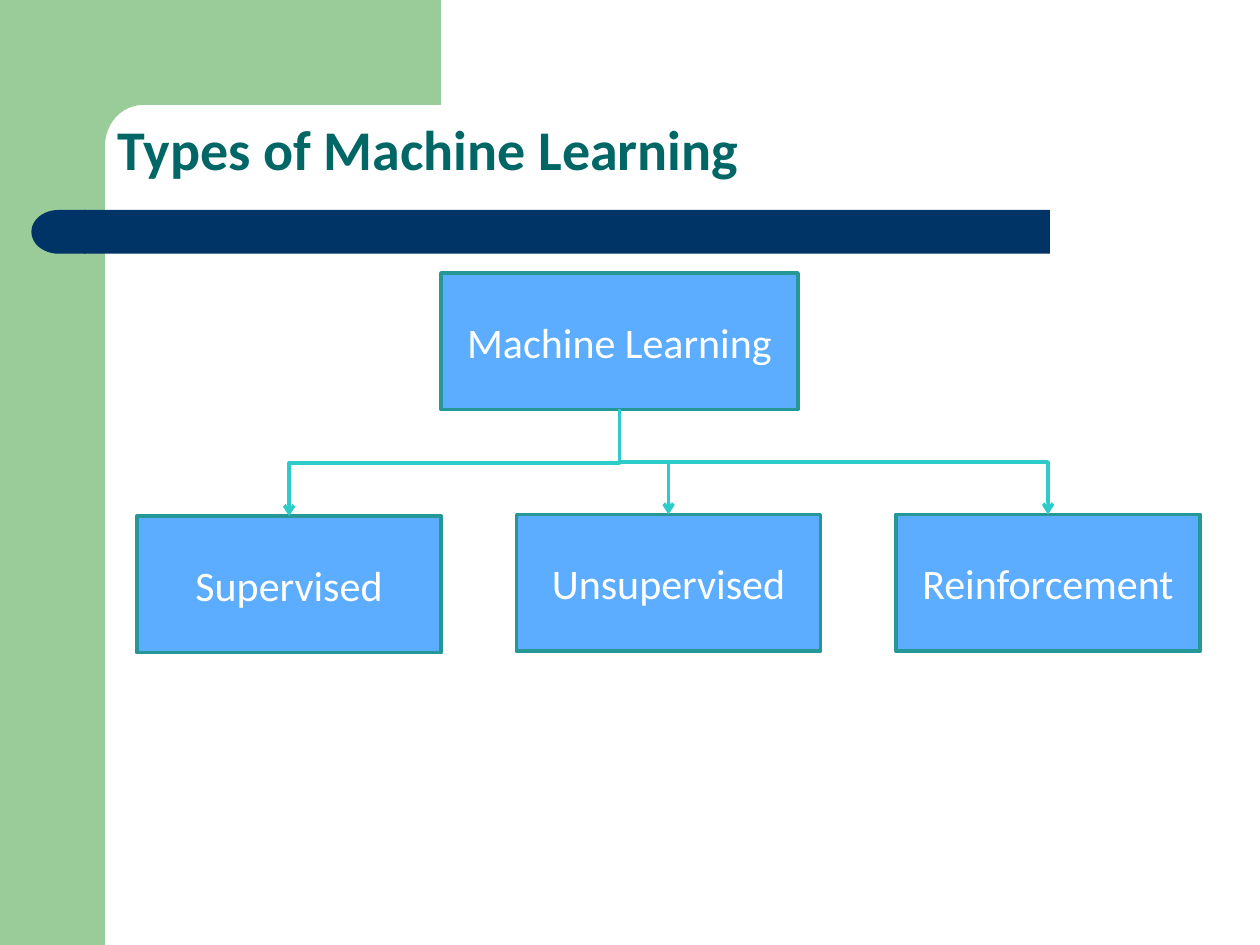
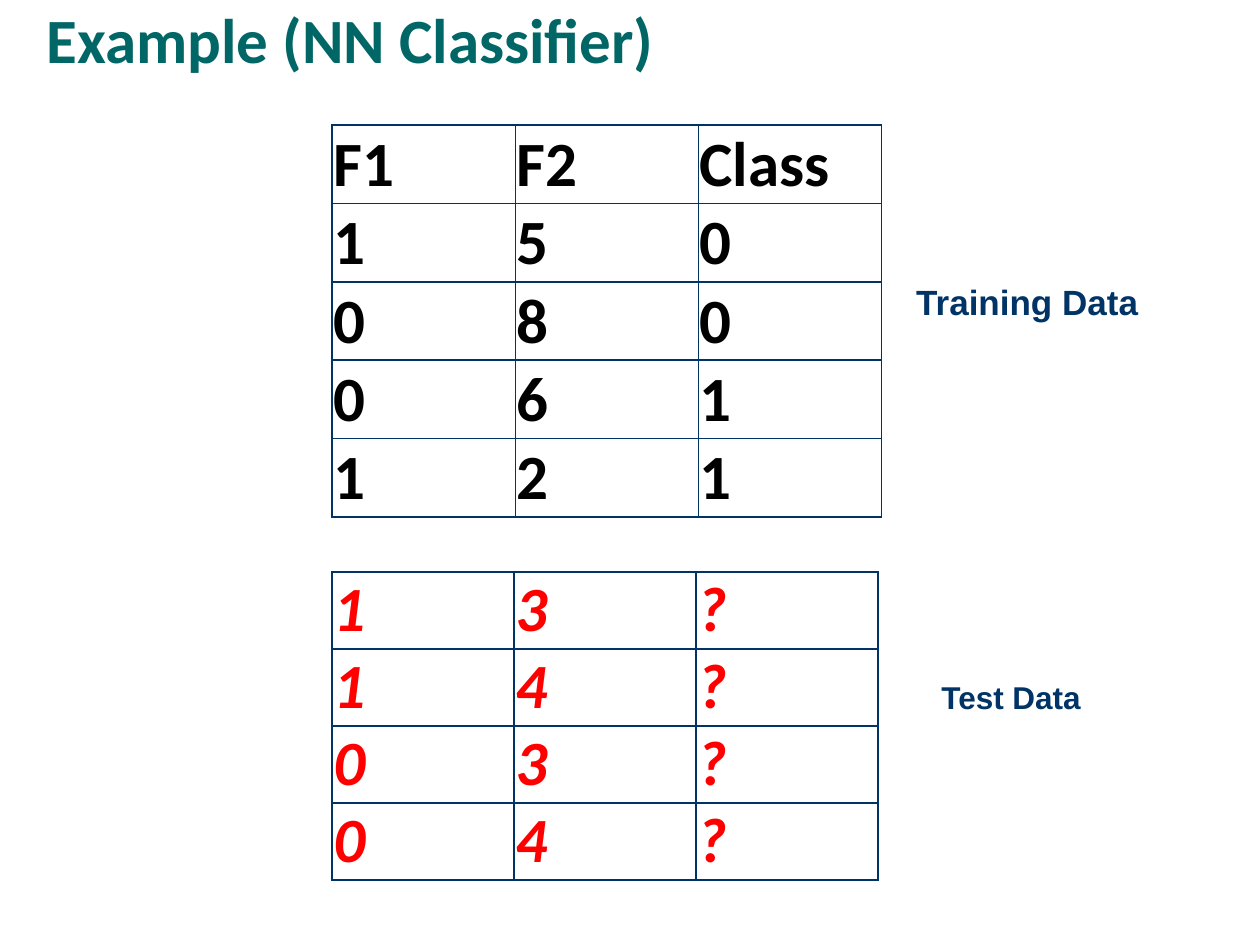
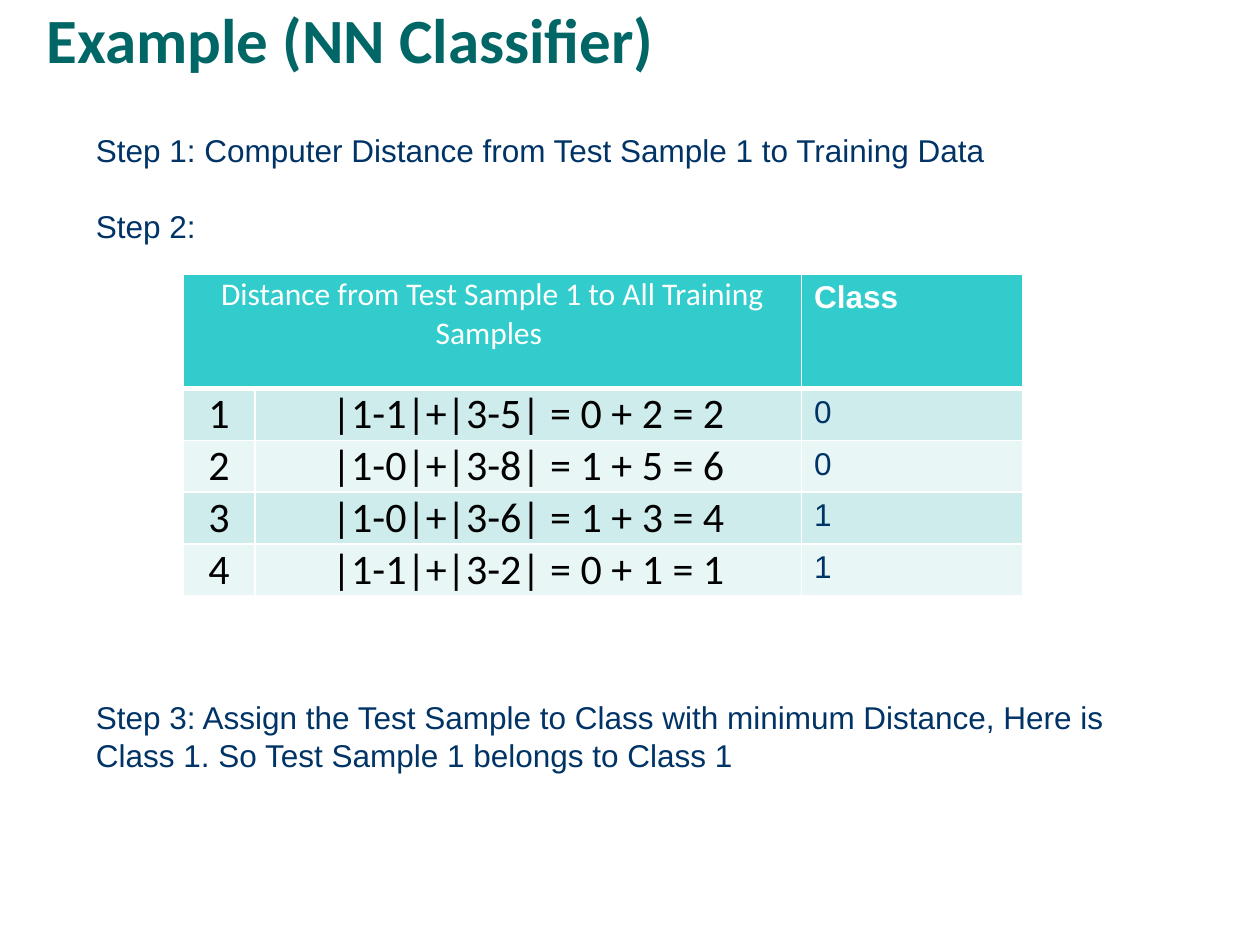
from dataclasses import dataclass
from math import cos, pi, sin
from typing import NamedTuple

from lxml.etree import SubElement
from pptx import Presentation
from pptx.dml.color import RGBColor
from pptx.enum.shapes import MSO_CONNECTOR as Link, MSO_SHAPE as Preset
from pptx.enum.text import MSO_ANCHOR as Anchor, MSO_AUTO_SIZE as AutoSize, PP_ALIGN as Align
from pptx.oxml.ns import qn
from pptx.util import Pt


class Box(NamedTuple):
    left: float
    top: float
    width: float
    height: float

    def lengths(self):
        return [Pt(value) for value in self]


class Style(NamedTuple):
    size: float
    color: str
    font: str = "Calibri"
    bold: bool = False
    italic: bool = False


@dataclass(frozen=True)
class Theme:
    green: str = "99CC99"
    navy: str = "003366"
    node_fill: str = "5CADFF"
    node_line: str = "269797"
    link: str = "2ECBCB"
    header_fill: str = "33CCCC"
    band_fills: tuple = ("CEECEC", "E8F6F6")
    white: str = "FFFFFF"
    line_width: float = 2
    title: Style = Style(36, "006666", bold=True)
    small_title: Style = Style(32, "006666", bold=True)
    node: Style = Style(24, "FFFFFF")
    training: Style = Style(36, "000000", bold=True)
    test: Style = Style(36, "FF0000", bold=True, italic=True)
    training_label: Style = Style(20, "003366", "Arial", bold=True)
    test_label: Style = Style(18, "003366", "Arial", bold=True)
    steps: Style = Style(18, "003366", "Arial")
    step_pitch: float = 21.6
    header: Style = Style(18, "FFFFFF")
    class_header: Style = Style(18, "FFFFFF", "Arial", bold=True)
    distance: Style = Style(24, "000000")


THEME = Theme()
EXAMPLE_TITLE = "Example (NN Classifier)"
EXAMPLE_TITLE_BOX = Box(19.5, 0, 624, 48)


def rgb(color):
    return RGBColor.from_string(color)


def write(para, text, style, align=Align.LEFT):
    para.alignment = align
    span = para.add_run()
    span.text = text
    font = span.font
    font.name, font.size = style.font, Pt(style.size)
    font.bold, font.italic = style.bold, style.italic
    font.color.rgb = rgb(style.color)


def paint(shape, fill, line=None):
    shape.shadow.inherit = False
    shape.fill.solid()
    shape.fill.fore_color.rgb = rgb(fill)
    if line:
        shape.line.color.rgb = rgb(line)
        shape.line.width = Pt(THEME.line_width)
    else:
        shape.line.fill.background()


def round_corners(holder, ratio):
    geometry = SubElement(holder.element.spPr, qn("a:prstGeom"), prst="roundRect")
    guides = SubElement(geometry, qn("a:avLst"))
    SubElement(guides, qn("a:gd"), name="adj", fmla=f"val {round(ratio * 100000)}")


def add_page(deck, title, box, style):
    page = deck.slides.add_slide(deck.slide_layouts[5])
    holder = page.shapes.title
    holder.left, holder.top, holder.width, holder.height = box.lengths()
    round_corners(holder, 0.22)
    frame = holder.text_frame
    frame.auto_size = AutoSize.NONE
    frame.vertical_anchor = Anchor.BOTTOM
    para = frame.paragraphs[0]
    para.line_spacing = 0.9
    write(para, title, style)
    return page


def add_label(page, box, text, style, wrap=True):
    frame = page.shapes.add_textbox(*box.lengths()).text_frame
    frame.word_wrap = wrap
    write(frame.paragraphs[0], text, style, Align.CENTER)


def draw_corner(page, box, side, arm, radius_x, radius_y):
    right, bottom = box.left + box.width, box.top + box.height
    inner_x, inner_y = box.left + side, box.top + arm
    steps = 12
    angles = [pi / 2 * step / steps for step in range(steps + 1)]
    arc = [(inner_x + radius_x * (1 - sin(angle)), inner_y + radius_y * (1 - cos(angle)))
           for angle in angles]
    outline = [(right, inner_y), *arc, (inner_x, bottom), (box.left, bottom), (box.left, box.top)]
    builder = page.shapes.build_freeform(Pt(right), Pt(box.top))
    builder.add_line_segments([(Pt(x), Pt(y)) for x, y in outline], close=True)
    paint(builder.convert_to_shape(), THEME.green)


def draw_frame(page, box):
    rail = Box(box.left, box.top, 60, box.height)
    paint(page.shapes.add_shape(Preset.RECTANGLE, *rail.lengths()), THEME.green)
    draw_corner(page, Box(box.left + 36, box.top, 216, 92), 24, 60, 21.6, 23.5)
    bar_box = Box(box.left + 48, box.top + 120, 552, 25)
    bar = page.shapes.add_shape(Preset.ROUNDED_RECTANGLE, *bar_box.lengths())
    bar.adjustments[0] = 0
    paint(bar, THEME.navy)
    cap_box = Box(box.left + 18, bar_box.top, 31, bar_box.height)
    cap = page.shapes.add_shape(Preset.FLOWCHART_DELAY, *cap_box.lengths())
    paint(cap, THEME.navy)
    cap.element.spPr.find(qn("a:xfrm")).set("flipH", "1")


def draw_node(page, box, text):
    node = page.shapes.add_shape(Preset.RECTANGLE, *box.lengths())
    paint(node, THEME.node_fill, THEME.node_line)
    node.text_frame.vertical_anchor = Anchor.MIDDLE
    write(node.text_frame.paragraphs[0], text, THEME.node, Align.CENTER)


def draw_branch(page, parent, child):
    start_x, start_y = parent.left + parent.width / 2, parent.top + parent.height
    end_x, end_y = child.left + child.width / 2, child.top
    middle_x, middle_y = (start_x + end_x) / 2, (start_y + end_y) / 2
    half_drop, half_run = (end_y - start_y) / 2, abs(end_x - start_x) / 2
    goes_right = end_x > start_x
    reach = -half_drop if goes_right else half_drop
    branch = page.shapes.add_connector(
        Link.ELBOW, Pt(middle_x - reach), Pt(middle_y - half_run),
        Pt(middle_x + reach), Pt(middle_y + half_run))
    branch.line.color.rgb = rgb(THEME.link)
    branch.line.width = Pt(THEME.line_width)
    properties = branch.element.spPr
    properties.find(qn("a:xfrm")).set("rot", str((270 if goes_right else 90) * 60000))
    SubElement(properties.find(qn("a:ln")), qn("a:tailEnd"), type="arrow")
    SubElement(properties, qn("a:effectLst"))


def draw_tree(page, box, root, children):
    root_box = Box(box.left + 173.8, box.top, 204, 78)
    draw_node(page, root_box, root)
    width = 174
    pitch = (box.width - width) / (len(children) - 1)
    for index, (name, drop) in enumerate(children):
        child_box = Box(box.left + index * pitch, box.top + drop, width, 78)
        draw_node(page, child_box, name)
        draw_branch(page, root_box, child_box)


def add_grid(page, box, widths, heights):
    grid = page.shapes.add_table(len(heights), len(widths), *box.lengths()).table
    grid.first_row = grid.horz_banding = False
    for column, width in zip(grid.columns, widths):
        column.width = Pt(width)
    for row, height in zip(grid.rows, heights):
        row.height = Pt(height)
    return grid


def set_borders(cell, color, widths):
    properties = cell._tc.get_or_add_tcPr()
    for side, width in zip("LRTB", widths):
        line = SubElement(properties, qn(f"a:ln{side}"), w=str(Pt(width)))
        SubElement(SubElement(line, qn("a:solidFill")), qn("a:srgbClr"), val=color)


def set_cell(cell, color, fill=None, bottom=1, tight=True, anchor=Anchor.BOTTOM):
    set_borders(cell, color, (1, 1, 1, bottom))
    if fill:
        cell.fill.solid()
        cell.fill.fore_color.rgb = rgb(fill)
    else:
        cell.fill.background()
    cell.vertical_anchor = anchor
    if tight:
        cell.margin_left = cell.margin_right = Pt(0.7)
        cell.margin_top = cell.margin_bottom = 0


def draw_samples(page, box, rows, style):
    columns = len(rows[0])
    grid = add_grid(page, box, [box.width / columns] * columns,
                    [box.height / len(rows)] * len(rows))
    for row_index, row in enumerate(rows):
        for column_index, value in enumerate(row):
            cell = grid.cell(row_index, column_index)
            set_cell(cell, THEME.navy)
            write(cell.text_frame.paragraphs[0], value, style)


def draw_distances(page, box, headings, rows):
    header_height = 65.5
    row_height = (box.height - header_height) / len(rows)
    grid = add_grid(page, box, (41, 312.3, box.width - 353.3),
                    [header_height] + [row_height] * len(rows))
    for column in range(3):
        set_cell(grid.cell(0, column), THEME.white, THEME.header_fill, 3, column < 2, Anchor.TOP)
    grid.cell(0, 0).merge(grid.cell(0, 1))
    grid.cell(0, 0).margin_top = Pt(1)
    write(grid.cell(0, 0).text_frame.paragraphs[0], headings[0], THEME.header, Align.CENTER)
    write(grid.cell(0, 2).text_frame.paragraphs[0], headings[1], THEME.class_header)
    for index, (formula, label) in enumerate(rows):
        fill = THEME.band_fills[index % 2]
        for column, value in enumerate((str(index + 1), formula, label)):
            cell = grid.cell(index + 1, column)
            is_class = column == 2
            set_cell(cell, THEME.white, fill, tight=not is_class,
                     anchor=Anchor.TOP if is_class else Anchor.BOTTOM)
            write(cell.text_frame.paragraphs[0], value,
                  THEME.steps if is_class else THEME.distance,
                  Align.LEFT if is_class else Align.CENTER)


def write_steps(page, box, steps):
    frame = page.shapes.add_textbox(*box.lengths()).text_frame
    frame.word_wrap = True
    for index, (text, lines_before) in enumerate(steps):
        para = frame.add_paragraph() if index else frame.paragraphs[0]
        para.line_spacing = Pt(THEME.step_pitch)
        para.space_before = Pt(THEME.step_pitch * lines_before)
        write(para, text, THEME.steps)


def build_types(deck):
    page = add_page(deck, "Types of Machine Learning", Box(60, 60, 624, 48), THEME.small_title)
    draw_frame(page, Box(0, 0, 720, 540))
    draw_tree(page, Box(78.2, 156, 607.7, 217), "Machine Learning",
              [("Supervised", 139), ("Unsupervised", 138), ("Reinforcement", 138)])


def build_samples(deck):
    page = add_page(deck, EXAMPLE_TITLE, EXAMPLE_TITLE_BOX, THEME.title)
    training = [("F1", "F2", "Class"), "150", "080", "061", "121"]
    draw_samples(page, Box(189.8, 71.5, 314, 224), training, THEME.training)
    add_label(page, Box(502, 156.5, 170, 31.5), "Training Data", THEME.training_label)
    draw_samples(page, Box(189.8, 326.8, 312, 176), ["13?", "14?", "03?", "04?"], THEME.test)
    add_label(page, Box(530.3, 383.6, 95, 29), "Test Data", THEME.test_label, wrap=False)


def build_distances(deck):
    page = add_page(deck, EXAMPLE_TITLE, EXAMPLE_TITLE_BOX, THEME.title)
    write_steps(page, Box(47.7, 71.5, 624, 400), [
        ("Step 1: Computer Distance from Test Sample 1 to Training Data", 0),
        ("Step 2:", 1),
        ("Step 3: Assign the Test Sample to Class with minimum Distance, "
         "Here is Class 1. So Test Sample 1 belongs to Class 1", 12)])
    draw_distances(
        page, Box(104.7, 156.5, 480, 183.9),
        ("Distance from Test Sample 1 to All Training Samples ", "Class"),
        [("|1-1|+|3-5| = 0 + 2 = 2", "0"), ("|1-0|+|3-8| = 1 + 5 = 6", "0"),
         ("|1-0|+|3-6| = 1 + 3 = 4", "1"), ("|1-1|+|3-2| = 0 + 1 = 1", "1")])


def main():
    deck = Presentation()
    deck.slide_width, deck.slide_height = Pt(720), Pt(540)
    build_types(deck)
    build_samples(deck)
    build_distances(deck)
    deck.save("out.pptx")


if __name__ == "__main__":
    main()
